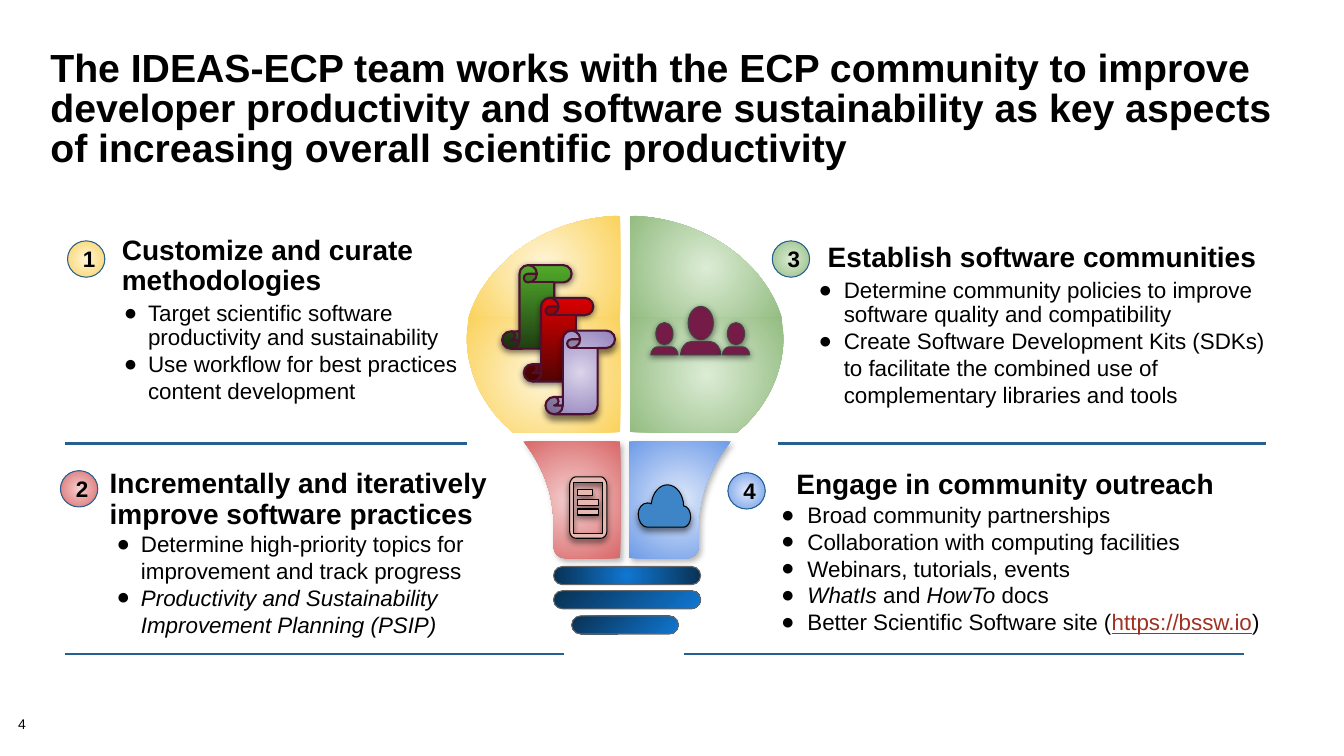
from lxml import etree
from pptx import Presentation
from pptx import util as u
from pptx.dml.color import RGBColor
from pptx.enum import shapes, text
from pptx.oxml.ns import qn

BLACK = RGBColor(0, 0, 0)
RULE_BLUE = RGBColor(0x26, 0x60, 0x93)
LINK_RED = RGBColor(0xA0, 0x31, 0x23)
BAR_EDGE = RGBColor(0x66, 0x66, 0x66)
PEOPLE_EDGE = RGBColor(0x43, 0x43, 0x43)
PLUM = RGBColor(0x74, 0x1B, 0x47)
SCROLL_EDGE = RGBColor(0x4C, 0x11, 0x30)
CLOUD_BLUE = RGBColor(0x3D, 0x85, 0xC6)
TABLET_PINK = RGBColor(0xE6, 0xB8, 0xAF)
YELLOW = RGBColor(0xFF, 0xF6, 0xDB), RGBColor(0xFA, 0xD2, 0x5C)
RED = RGBColor(0xF5, 0xD0, 0xD0), RGBColor(0xD9, 0x68, 0x68)
GREEN = RGBColor(0xDC, 0xEC, 0xD5), RGBColor(0x93, 0xBC, 0x81)
BLUE = RGBColor(0xDF, 0xE9, 0xFB), RGBColor(0x6E, 0x9B, 0xE7)
BAR_BLUE = RGBColor(0x10, 0x77, 0xD2), RGBColor(0x09, 0x31, 0x53)
SCROLL_GREEN = RGBColor(0x51, 0xAB, 0x2A), RGBColor(0x20, 0x3E, 0x13)
SCROLL_RED = RGBColor(0xDB, 0, 0), RGBColor(0x54, 0x03, 0x03)
SCROLL_LILAC = RGBColor(0xDB, 0xD4, 0xEB), RGBColor(0x91, 0x80, 0xBB)

TITLE = ("The IDEAS-ECP team works with the ECP community to improve developer productivity "
         "and software sustainability as key aspects of increasing overall scientific productivity")
# Box, heading indent, bullet indent and hang, tight first bullet, anchor, heading, bullets.
# A bullet is a list of (text, style) runs.
PANELS = [
    ((1.11, 2.24, 3.89, 2.46), 0, 0.26, 0.24, True, text.MSO_ANCHOR.TOP,
     "Customize and curate methodologies",
     [[("Target scientific software productivity and sustainability", "")],
      [("Use workflow for best practices content development", "")]]),
    ((0.99, 4.56, 4.5, 1.96), 0, 0.31, 0.24, False, text.MSO_ANCHOR.TOP,
     "Incrementally and iteratively improve software practices",
     [[("Determine high-priority topics for improvement and track progress", "")],
      [("Productivity and Sustainability Improvement Planning (PSIP)", "italic")]]),
    ((7.64, 1.99, 5.15, 2.48), 0.47, 0.63, 0.25, True, text.MSO_ANCHOR.MIDDLE,
     "Establish software communities",
     [[("Determine community policies to improve software quality and compatibility", "")],
      [("Create Software Development Kits (SDKs) to facilitate the combined use of "
        "complementary libraries and tools", "")]]),
    ((7.15, 4.57, 6.18, 2.3), 0.65, 0.76, 0.26, False, text.MSO_ANCHOR.TOP,
     "Engage in community outreach",
     [[("Broad community partnerships", "")],
      [("Collaboration with computing facilities", "")],
      [("Webinars, tutorials, events", "")],
      [("WhatIs", "italic"), (" and ", ""), ("HowTo ", "italic"), ("docs", "")],
      [("Better Scientific Software site (", ""), ("https://bssw.io", "link"), (")", "")]]),
]
BADGES = [("1", 0.67, 2.39, YELLOW), ("2", 0.6, 4.67, RED),
          ("3", 7.66, 2.39, GREEN), ("4", 7.22, 4.69, BLUE)]
RULES = [(0.64, 4.63, 4.4), (7.72, 12.56, 4.4), (0.64, 5.59, 6.49), (6.78, 12.34, 6.49)]

# Outlines: a pair is a straight step, six numbers are a Bézier step
BULB_TOP = [(6.15, 2.14), (6.15, 3.17), (4.64, 3.17), (4.81, 2.6, 5.42, 2.16, 6.15, 2.14)]
BULB_MIDDLE = [(6.15, 3.15), (6.15, 4.29), (5.09, 4.29), (4.81, 4.06, 4.64, 3.73, 4.63, 3.37),
               (4.63, 3.3, 4.64, 3.22, 4.65, 3.15)]
NECK_LEFT = [(5.19, 4.38), (6.15, 4.38), (6.15, 5.54), (5.61, 5.54),
             (5.54, 5.54, 5.49, 5.49, 5.49, 5.42), (5.49, 5.2), (5.49, 4.9, 5.38, 4.61, 5.19, 4.38)]
NECK_RIGHT = [(6.24, 4.38), (7.25, 4.38), (7.05, 4.62, 6.93, 4.91, 6.93, 5.21), (6.93, 5.42),
              (6.93, 5.49, 6.88, 5.54, 6.8, 5.54), (6.24, 5.54)]
CLOUD = [(6.78, 5.02), (6.78, 4.91, 6.71, 4.81, 6.62, 4.81), (6.54, 4.81, 6.47, 4.89, 6.46, 5),
         (6.45, 4.99, 6.44, 4.99, 6.42, 4.99), (6.37, 4.99, 6.33, 5.04, 6.33, 5.1),
         (6.33, 5.17, 6.37, 5.23, 6.42, 5.23), (6.78, 5.23),
         (6.82, 5.23, 6.85, 5.18, 6.85, 5.13), (6.85, 5.07, 6.82, 5.02, 6.78, 5.02)]
TABLET = [(5.96, 4.73), (5.71, 4.73), (5.68, 4.73, 5.65, 4.77, 5.65, 4.81), (5.65, 5.27),
          (5.65, 5.31, 5.68, 5.34, 5.71, 5.34), (5.96, 5.34),
          (5.99, 5.34, 6.02, 5.31, 6.02, 5.27), (6.02, 4.81), (6.02, 4.77, 5.99, 4.73, 5.96, 4.73)]
TABLET_SCREEN = [(5.69, 4.79), (5.98, 4.79), (5.98, 5.29), (5.69, 5.29)]
MIRROR = 12.4  # sum of the x values of mirrored bulb points

# Each bar: left, top, width, bright spot
BARS = [(5.49, 5.62, 1.46, (50, 50, 50, 50)), (5.49, 5.86, 1.46, (100, 100, 0, 0)),
        (5.67, 6.11, 1.06, (100, 100, 0, 0))]
# Each person: centre, head width, height and top, body width and top
PEOPLE = [(6.95, 0.25, 0.33, 3.04, 0.4, 3.39), (7.3, 0.17, 0.22, 3.2, 0.27, 3.44),
          (6.59, 0.17, 0.22, 3.2, 0.27, 3.44)]
BODY_BOTTOM = 3.52
CENTRE = (50, 50, 50, 50)
NECK_SHADOW = (29, 2.6, 53)
ICON_SHADOW = (50, 2.2, 90)
PEOPLE_SHADOW = (50, 1.5, 90)

presentation = Presentation()
presentation.slide_width, presentation.slide_height = u.Inches(13.33), u.Inches(7.5)
slide = presentation.slides.add_slide(presentation.slide_layouts[5])


def inches(*lengths):
    return [u.Inches(length) for length in lengths]


def paint(shape, fill, edge=None, width=0.75, shadow=None, focus=CENTRE):
    """Fill with a colour or a pair; focus None makes the gradient run downwards."""
    if isinstance(fill, RGBColor):
        shape.fill.solid()
        shape.fill.fore_color.rgb = fill
    else:
        shape.fill.gradient()
        for stop, colour, position in zip(shape.fill.gradient_stops, fill, (0, 1)):
            stop.color.rgb, stop.position = colour, position
        gradient = shape._element.spPr.find(qn("a:gradFill"))
        linear = gradient.find(qn("a:lin"))
        if focus is None:
            linear.set("ang", "5400000")
        else:
            radial = etree.Element(qn("a:path"), path="circle")
            sides = {side: str(share * 1000) for side, share in zip("ltrb", focus)}
            etree.SubElement(radial, qn("a:fillToRect"), **sides)
            gradient.replace(linear, radial)
    if edge is None:
        shape.line.fill.background()
    else:
        shape.line.color.rgb, shape.line.width = edge, u.Pt(width)
    shape.shadow.inherit = False
    if shadow:
        alpha, distance, angle = shadow
        effects = shape._element.spPr.find(qn("a:effectLst"))
        outer = etree.SubElement(effects, qn("a:outerShdw"), blurRad=str(u.Pt(4.5)),
                                 dist=str(u.Pt(distance)), dir=str(angle * 60000),
                                 algn="bl", rotWithShape="0")
        colour = etree.SubElement(outer, qn("a:srgbClr"), val="000000")
        etree.SubElement(colour, qn("a:alpha"), val=str(alpha * 1000))


def add_preset(kind, box, fill, **style):
    shape = slide.shapes.add_shape(kind, *inches(*box))
    paint(shape, fill, **style)
    return shape


def add_outline(outlines, fill, **style):
    """Join the end points of all steps, then bend the Bézier steps."""
    first, *holes = [[inches(*step[-2:]) for step in outline] for outline in outlines]
    builder = slide.shapes.build_freeform(*first[0])
    builder.add_line_segments(first[1:])
    for hole in holes:
        builder.move_to(*hole[0])
        builder.add_line_segments(hole[1:])
    shape = builder.convert_to_shape()
    # A closing segment may follow each outline, so segments are paired per outline
    segments = [node for node in shape._element.iter(qn("a:moveTo"), qn("a:lnTo"))]
    starts = [i for i, node in enumerate(segments) if node.tag == qn("a:moveTo")]
    for start, outline in zip(starts, outlines):
        for segment, step in zip(segments[start:], outline):
            if len(step) == 6:
                curve = etree.Element(qn("a:cubicBezTo"))
                for x, y in zip(step[::2], step[1::2]):
                    etree.SubElement(curve, qn("a:pt"), x=str(u.Inches(x) - shape.left),
                                     y=str(u.Inches(y) - shape.top))
                segment.getparent().replace(segment, curve)
    paint(shape, fill, **style)


def set_font(font, size, bold=False):
    font.name, font.size, font.bold, font.color.rgb = "Arial", u.Pt(size), bold, BLACK


def set_indent(paragraph, left, hang=0):
    properties = paragraph._p.get_or_add_pPr()
    properties.set("marL", str(u.Inches(left)))
    properties.set("indent", str(-u.Inches(hang)))
    return properties


def add_text_box(box, inset, anchor=text.MSO_ANCHOR.TOP):
    frame = slide.shapes.add_textbox(*inches(*box)).text_frame
    frame.word_wrap, frame.vertical_anchor = True, anchor
    frame.margin_left = frame.margin_right = frame.margin_top = frame.margin_bottom = u.Inches(inset)
    return frame


def add_runs(paragraph, runs):
    for words, style in runs:
        run = paragraph.add_run()
        run.text = words
        if style == "italic":
            run.font.italic = True
        elif style == "link":
            run.font.underline, run.font.color.rgb = True, LINK_RED


# Title and page number
title = slide.shapes.title
title.left, title.top, title.width, title.height = inches(0.4, 0.45, 12.44, 1)
title.text_frame.text = TITLE
title.text_frame.vertical_anchor = text.MSO_ANCHOR.TOP
title.text_frame.auto_size = text.MSO_AUTO_SIZE.NONE
title_line = title.text_frame.paragraphs[0]
title_line.alignment, title_line.line_spacing = text.PP_ALIGN.LEFT, 0.85
set_font(title_line.font, 28, True)
page_number = add_text_box((0.18, 7.12, 0.56, 0.16), 0)
page_number.text = "4"
page_number.paragraphs[0].line_spacing = 0.9
set_font(page_number.paragraphs[0].font, 10)

# Light bulb: glass halves, neck and screw thread
for half in (BULB_TOP, BULB_MIDDLE):
    add_outline([half], YELLOW)
    add_outline([[tuple(MIRROR - value if k % 2 == 0 else value for k, value in enumerate(step))
                  for step in half]], GREEN)
add_outline([NECK_LEFT], RED, shadow=NECK_SHADOW)
add_outline([NECK_RIGHT], BLUE, shadow=NECK_SHADOW)
for left, top, width, focus in BARS:
    bar = add_preset(shapes.MSO_SHAPE.ROUNDED_RECTANGLE, (left, top, width, 0.18), BAR_BLUE,
                     edge=BAR_EDGE, focus=focus)
    bar.adjustments[0] = 0.5

# Icons: cloud, tablet, scrolls, people
add_outline([CLOUD], CLOUD_BLUE, edge=BLACK, shadow=ICON_SHADOW)
add_outline([TABLET, TABLET_SCREEN], TABLET_PINK, edge=BLACK, shadow=ICON_SHADOW)
for row, width in enumerate((0.15, 0.21, 0.21)):
    add_preset(shapes.MSO_SHAPE.RECTANGLE, (5.73, 4.86 + row * 0.095, width, 0.06), TABLET_PINK,
               edge=BLACK, shadow=ICON_SHADOW)
for index, (fill, focus, drop) in enumerate([(SCROLL_GREEN, None, 1.5), (SCROLL_RED, None, 1.5),
                                             (SCROLL_LILAC, CENTRE, 3.8)]):
    scroll = add_preset(shapes.MSO_SHAPE.VERTICAL_SCROLL,
                        (4.98 + index * 0.215, 2.63 + index * 0.325, 0.69, 0.83), fill,
                        edge=SCROLL_EDGE, width=1.5, focus=focus, shadow=(50, drop, 90))
    scroll.adjustments[0] = 0.25
for centre, head_width, head_height, head_top, body_width, top in PEOPLE:
    look = dict(edge=PEOPLE_EDGE, shadow=PEOPLE_SHADOW)
    add_preset(shapes.MSO_SHAPE.OVAL,
               (centre - head_width / 2, head_top, head_width, head_height), PLUM, **look)
    left, right, corner = centre - body_width / 2, centre + body_width / 2, body_width / 4
    middle = (top + BODY_BOTTOM) / 2
    add_outline([[(left, BODY_BOTTOM), (left, middle, left + corner / 2, top, left + corner, top),
                  (right - corner, top),
                  (right - corner / 2, top, right, middle, right, BODY_BOTTOM)]], PLUM, **look)

# Text panels
for box, heading_indent, indent, hang, tight, anchor, heading, bullets in PANELS:
    frame = add_text_box(box, 0.1, anchor)
    paragraph = frame.paragraphs[0]
    set_indent(paragraph, heading_indent)
    paragraph.line_spacing = 0.9
    set_font(paragraph.font, 20, True)
    add_runs(paragraph, [(heading, "")])
    for number, runs in enumerate(bullets):
        paragraph = frame.add_paragraph()
        properties = set_indent(paragraph, indent, hang)
        colour = etree.SubElement(properties, qn("a:buClr"))
        etree.SubElement(colour, qn("a:srgbClr"), val="000000")
        etree.SubElement(properties, qn("a:buFont"), typeface="Arial")
        etree.SubElement(properties, qn("a:buChar"), char="●")
        if tight and number == 0:
            paragraph.line_spacing, paragraph.space_before = 0.9, u.Pt(4)
        set_font(paragraph.font, 16)
        add_runs(paragraph, runs)

# Rules and numbered badges
for start, end, y in RULES:
    rule = slide.shapes.add_connector(shapes.MSO_CONNECTOR.STRAIGHT, *inches(start, y, end, y))
    rule.line.color.rgb, rule.line.width = RULE_BLUE, u.Pt(1.5)
    etree.SubElement(rule._element.spPr, qn("a:effectLst"))
for number, left, top, fill in BADGES:
    badge = add_preset(shapes.MSO_SHAPE.OVAL, (left, top, 0.37, 0.36), fill, edge=RULE_BLUE)
    badge.text_frame.text = number
    badge.text_frame.margin_top = badge.text_frame.margin_bottom = u.Inches(0.1)
    badge.text_frame.paragraphs[0].alignment = text.PP_ALIGN.CENTER
    set_font(badge.text_frame.paragraphs[0].font, 16, True)

presentation.save("out.pptx")
